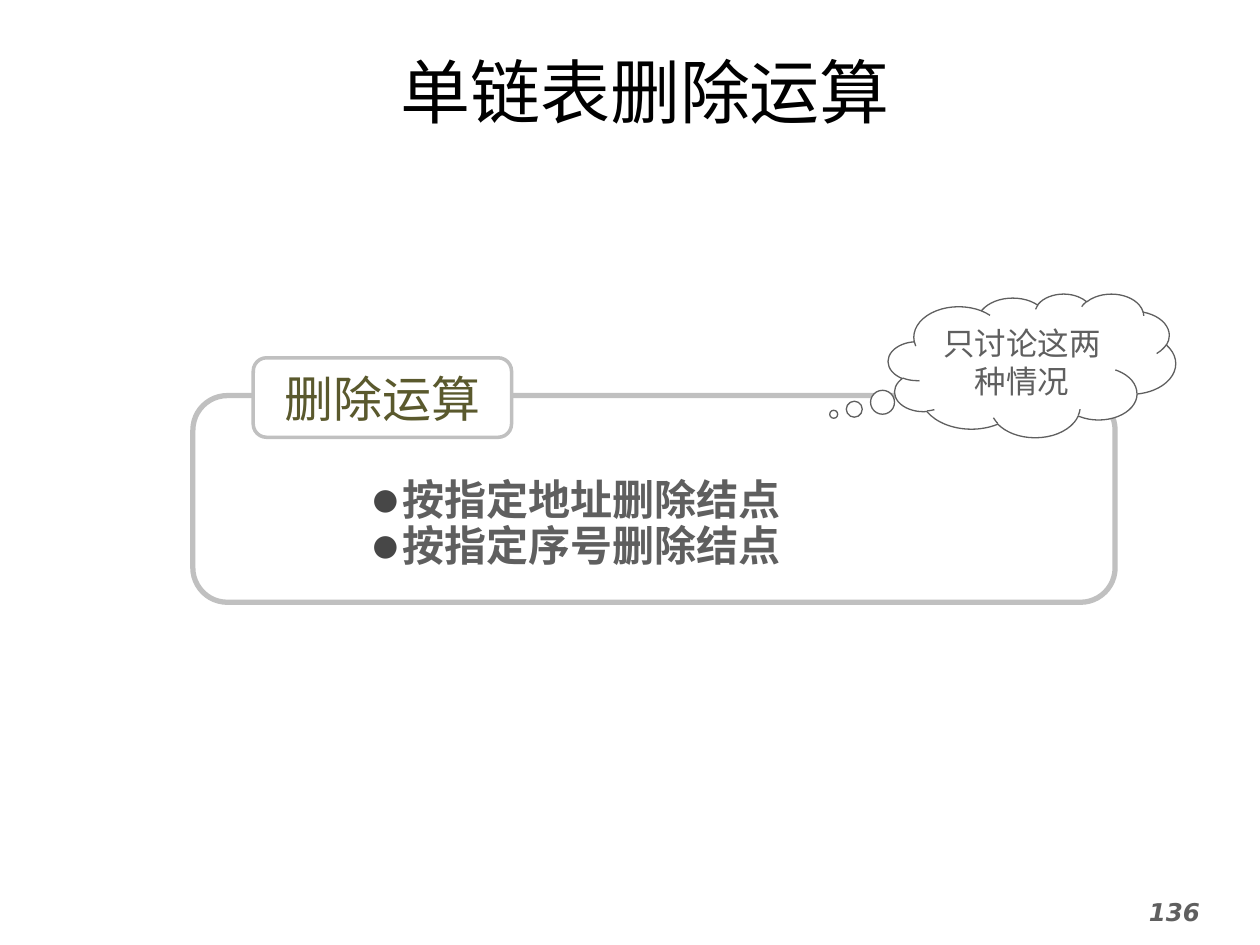
from lxml import etree
from pptx import Presentation
from pptx.dml.color import RGBColor
from pptx.enum.shapes import MSO_SHAPE
from pptx.enum.text import MSO_ANCHOR, MSO_AUTO_SIZE, PP_ALIGN
from pptx.oxml.ns import qn
from pptx.util import Pt

ROUNDED, CLOUD = MSO_SHAPE.ROUNDED_RECTANGLE, MSO_SHAPE.CLOUD_CALLOUT
TOP, MIDDLE = MSO_ANCHOR.TOP, MSO_ANCHOR.MIDDLE
LEFT, CENTER = PP_ALIGN.LEFT, PP_ALIGN.CENTER

COLORS = {"title": "000000", "text": "5F5F5F", "label": "5A592D",
          "border": "C0C0C0", "bullet": "474747", "paper": "FFFFFF"}
CODE_FONT, CJK_FONT, NUMBER_FONT = "Courier New", "Noto Sans CJK SC", "DejaVu Sans"

TITLE = "单链表删除运算"
LABEL = "删除运算"
CASES = ["按指定地址删除结点", "按指定序号删除结点"]
REMARK = "只讨论这两种情况"
PAGE_NUMBER = "136"

# left, top, width, height in points
TITLE_BOX = (25.2, 23.8, 686.9, 55.4)
PANEL_BOX = (110.2, 226.1, 527, 118.1)
LABEL_BOX = (144.7, 204.5, 147.6, 45.4)
CASES_BOX = (213, 256, 300, 88)
REMARK_BOX = (507.6, 167.8, 164.2, 82.1)
NUMBER_BOX = (649.4, 509, 73.4, 31)
BULLET_INDENT = 17


def rgb(name):
    return RGBColor.from_string(COLORS[name])


def place(shape, box):
    shape.left, shape.top, shape.width, shape.height = map(Pt, box)


def add_bullet(paragraph):
    props = paragraph._p.get_or_add_pPr()
    props.set("marL", str(Pt(BULLET_INDENT)))
    props.set("indent", str(-Pt(BULLET_INDENT)))
    color = etree.SubElement(props, qn("a:buClr"))
    etree.SubElement(color, qn("a:srgbClr"), val=COLORS["bullet"])
    etree.SubElement(props, qn("a:buSzPct"), val="70000")
    etree.SubElement(props, qn("a:buFont"), typeface=NUMBER_FONT)
    etree.SubElement(props, qn("a:buChar"), char="●")


def write(shape, lines, *, size, font, color="text", bold=False, italic=False,
          align=CENTER, anchor=MIDDLE, wrap=True, bullets=False, spacing=None,
          margins=(7.2, 3.6)):
    frame = shape.text_frame
    frame.auto_size = MSO_AUTO_SIZE.NONE
    frame.word_wrap, frame.vertical_anchor = wrap, anchor
    frame.margin_left = frame.margin_right = Pt(margins[0])
    frame.margin_top = frame.margin_bottom = Pt(margins[1])
    frame.text = "\n".join(lines)
    for paragraph in frame.paragraphs:
        paragraph.alignment = align
        paragraph.space_before = Pt(0)
        paragraph.line_spacing = spacing
        if bullets:
            add_bullet(paragraph)
        style = paragraph.font
        style.size, style.name = Pt(size), font
        style.bold, style.italic = bold, italic
        style.color.rgb = rgb(color)


def add_outlined(slide, kind, box, adjustments, line, weight, fill=None):
    shape = slide.shapes.add_shape(kind, *map(Pt, box))
    shape.shadow.inherit = False
    for index, value in enumerate(adjustments):
        shape.adjustments[index] = value
    if fill:
        shape.fill.solid()
        shape.fill.fore_color.rgb = rgb(fill)
    else:
        shape.fill.background()
    shape.line.color.rgb = rgb(line)
    shape.line.width = Pt(weight)
    return shape


def main():
    deck = Presentation()
    deck.slide_width, deck.slide_height = Pt(720), Pt(540)
    slide = deck.slides.add_slide(deck.slide_layouts[1])
    title, cases = slide.placeholders

    place(title, TITLE_BOX)
    write(title, [TITLE], size=40, font=CODE_FONT, color="title")

    place(cases, CASES_BOX)
    write(cases, CASES, size=24, font=CODE_FONT, bold=True, align=LEFT,
          bullets=True, spacing=0.9, margins=(0, 0))

    add_outlined(slide, ROUNDED, PANEL_BOX, [0.167], "border", 3)

    label = add_outlined(slide, ROUNDED, LABEL_BOX, [0.167], "border", 2, "paper")
    write(label, [LABEL], size=28, font=CJK_FONT, color="label", wrap=False)

    remark = add_outlined(slide, CLOUD, REMARK_BOX, [-0.69, 0.34], "text", 0.75, "paper")
    write(remark, [REMARK], size=18, font=CJK_FONT)

    number = slide.shapes.add_textbox(*map(Pt, NUMBER_BOX))
    write(number, [PAGE_NUMBER], size=14, font=NUMBER_FONT, bold=True,
          italic=True, align=LEFT, anchor=TOP)

    deck.save("out.pptx")


if __name__ == "__main__":
    main()
